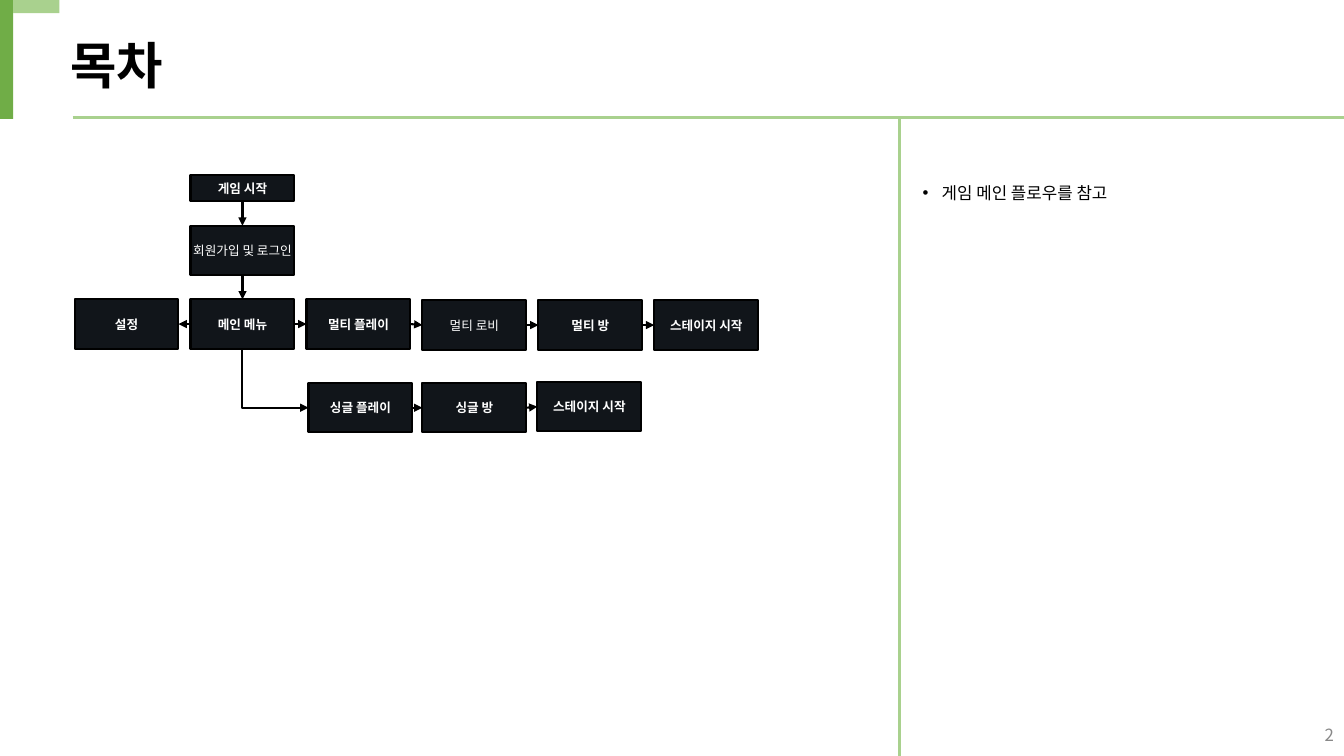
from lxml import etree
from pptx import Presentation
from pptx.dml.color import RGBColor
from pptx.enum.shapes import MSO_CONNECTOR, MSO_SHAPE
from pptx.enum.text import MSO_ANCHOR, MSO_AUTO_SIZE, PP_ALIGN
from pptx.oxml.ns import qn
from pptx.util import Inches, Pt

STRAIGHT, ELBOW = MSO_CONNECTOR.STRAIGHT, MSO_CONNECTOR.ELBOW
RECTANGLE = MSO_SHAPE.RECTANGLE
TOP, MIDDLE = MSO_ANCHOR.TOP, MSO_ANCHOR.MIDDLE
LEFT, CENTER, RIGHT = PP_ALIGN.LEFT, PP_ALIGN.CENTER, PP_ALIGN.RIGHT
NO_AUTOFIT = MSO_AUTO_SIZE.NONE
SIDE_TOP, SIDE_LEFT, SIDE_BOTTOM, SIDE_RIGHT = range(4)

COLORS = {
    "green": "70AD47",
    "light_green": "A9D18E",
    "node": "11151A",
    "black": "000000",
    "white": "FFFFFF",
    "gray": "888888",
}
KOREAN_FONT = "Noto Sans CJK KR"
NODE_FONT = "Arial"
NODE_WIDTH, NODE_HEIGHT = 1.03, 0.49
COLUMN_LEFT, COLUMN_PITCH = 0.74, 1.15


def color(name):
    return RGBColor.from_string(COLORS[name])


def column(index):
    return COLUMN_LEFT + index * COLUMN_PITCH


class FlowSlide:
    def __init__(self, slide):
        self.slide = slide
        self.shapes = slide.shapes

    def place(self, shape, left, top, width, height):
        shape.left, shape.top = Inches(left), Inches(top)
        shape.width, shape.height = Inches(width), Inches(height)

    def set_text(self, frame, text, size, ink, align=LEFT, anchor=TOP,
                 bold=False, font=KOREAN_FONT):
        frame.text = text
        frame.auto_size = NO_AUTOFIT
        frame.vertical_anchor = anchor
        paragraph = frame.paragraphs[0]
        paragraph.alignment = align
        run_font = paragraph.runs[0].font
        run_font.name, run_font.size, run_font.bold = font, Pt(size), bold
        run_font.color.rgb = color(ink)
        east_asian = etree.Element(qn("a:ea"), typeface=KOREAN_FONT)
        run_font._element.find(qn("a:latin")).addnext(east_asian)
        return paragraph

    def title(self, text, *box):
        title = self.shapes.title
        self.place(title, *box)
        self.set_text(title.text_frame, text, 36, "black", bold=True)

    def bullet(self, text, *box):
        body = self.slide.placeholders[1]
        self.place(body, *box)
        paragraph = self.set_text(body.text_frame, text, 12, "black")
        paragraph.line_spacing = 1.5
        paragraph.space_before = Pt(0)
        properties = paragraph._p.get_or_add_pPr()
        properties.set("marL", str(Inches(0.19)))
        properties.set("indent", str(-Inches(0.19)))
        etree.SubElement(properties, qn("a:buFont"), typeface="Arial")
        etree.SubElement(properties, qn("a:buChar"), char="•")

    def page_number(self, text, *box):
        number = self.shapes.add_textbox(*map(Inches, box))
        number.text_frame.word_wrap = True
        self.set_text(number.text_frame, text, 12, "gray", RIGHT, MIDDLE)

    def bar(self, fill, *box):
        bar = self.shapes.add_shape(RECTANGLE, *map(Inches, box))
        bar.shadow.inherit = False
        bar.fill.solid()
        bar.fill.fore_color.rgb = color(fill)
        bar.line.fill.background()
        return bar

    def node(self, text, left, top, height=NODE_HEIGHT, bold=True):
        node = self.bar("node", left, top, NODE_WIDTH, height)
        node.line.color.rgb = color("black")
        node.line.width = Pt(1.5)
        node.text_frame.word_wrap = False
        self.set_text(node.text_frame, text, 9, "white", CENTER, MIDDLE, bold, NODE_FONT)
        return node

    def line(self, ink, width, *ends, kind=STRAIGHT):
        line = self.shapes.add_connector(kind, *map(Inches, ends))
        line.line.color.rgb = color(ink)
        line.line.width = Pt(width)
        etree.SubElement(line.element.spPr, qn("a:effectLst"))
        return line

    def arrow(self, source, source_side, target, target_side, kind=STRAIGHT):
        arrow = self.line("black", 1.5, 0, 0, 0, 0, kind=kind)
        arrow.begin_connect(source, source_side)
        arrow.end_connect(target, target_side)
        outline = arrow.element.spPr.find(qn("a:ln"))
        etree.SubElement(outline, qn("a:tailEnd"), type="triangle")
        return arrow

    def corner_arrow(self, source, target):
        """Run down from the source, then right into the target, with one bend."""
        arrow = self.arrow(source, SIDE_BOTTOM, target, SIDE_LEFT, ELBOW)
        width, height = arrow.width, arrow.height
        arrow.left += (width - height) // 2
        arrow.top += (height - width) // 2
        arrow.width, arrow.height = height, width
        properties = arrow.element.spPr
        properties.find(qn("a:prstGeom")).set("prst", "bentConnector2")
        frame = properties.find(qn("a:xfrm"))
        frame.set("rot", str(270 * 60000))
        frame.set("flipH", "1")


def main():
    presentation = Presentation()
    presentation.slide_width, presentation.slide_height = Inches(13.33), Inches(7.5)
    page = FlowSlide(presentation.slides.add_slide(presentation.slide_layouts[1]))

    page.page_number("2", 10.33, 7.09, 3, 0.4)
    page.bar("green", 0, 0, 0.13, 1.18)
    page.bar("light_green", 0.13, 0, 0.46, 0.13)
    page.title("목차", 0.6, 0.29, 10.37, 0.71)
    page.line("light_green", 2.25, 0.72, 1.17, 13.33, 1.17)
    page.line("light_green", 2.25, 8.92, 7.5, 8.92, 1.17)
    page.bullet("게임 메인 플로우를 참고", 9.05, 1.66, 4.28, 0.37)

    start = page.node("게임 시작", column(1), 1.74, height=0.25)
    login = page.node("회원가입 및 로그인", column(1), 2.24, bold=False)
    settings = page.node("설정", column(0), 2.97)
    main_menu = page.node("메인 메뉴", column(1), 2.97)
    multi_route = [
        main_menu,
        page.node("멀티 플레이", column(2), 2.97),
        page.node("멀티 로비", column(3), 2.98, bold=False),
        page.node("멀티 방", column(4), 2.98),
        page.node("스테이지 시작", column(5), 2.98),
    ]
    single_route = [
        page.node("싱글 플레이", 3.06, 3.8),
        page.node("싱글 방", 4.19, 3.8),
        page.node("스테이지 시작", 5.33, 3.79),
    ]

    page.arrow(start, SIDE_BOTTOM, login, SIDE_TOP)
    page.arrow(login, SIDE_BOTTOM, main_menu, SIDE_TOP)
    page.arrow(main_menu, SIDE_LEFT, settings, SIDE_RIGHT)
    for route in (multi_route, single_route):
        for source, target in zip(route, route[1:]):
            page.arrow(source, SIDE_RIGHT, target, SIDE_LEFT)
    page.corner_arrow(main_menu, single_route[0])

    presentation.save("out.pptx")


if __name__ == "__main__":
    main()
